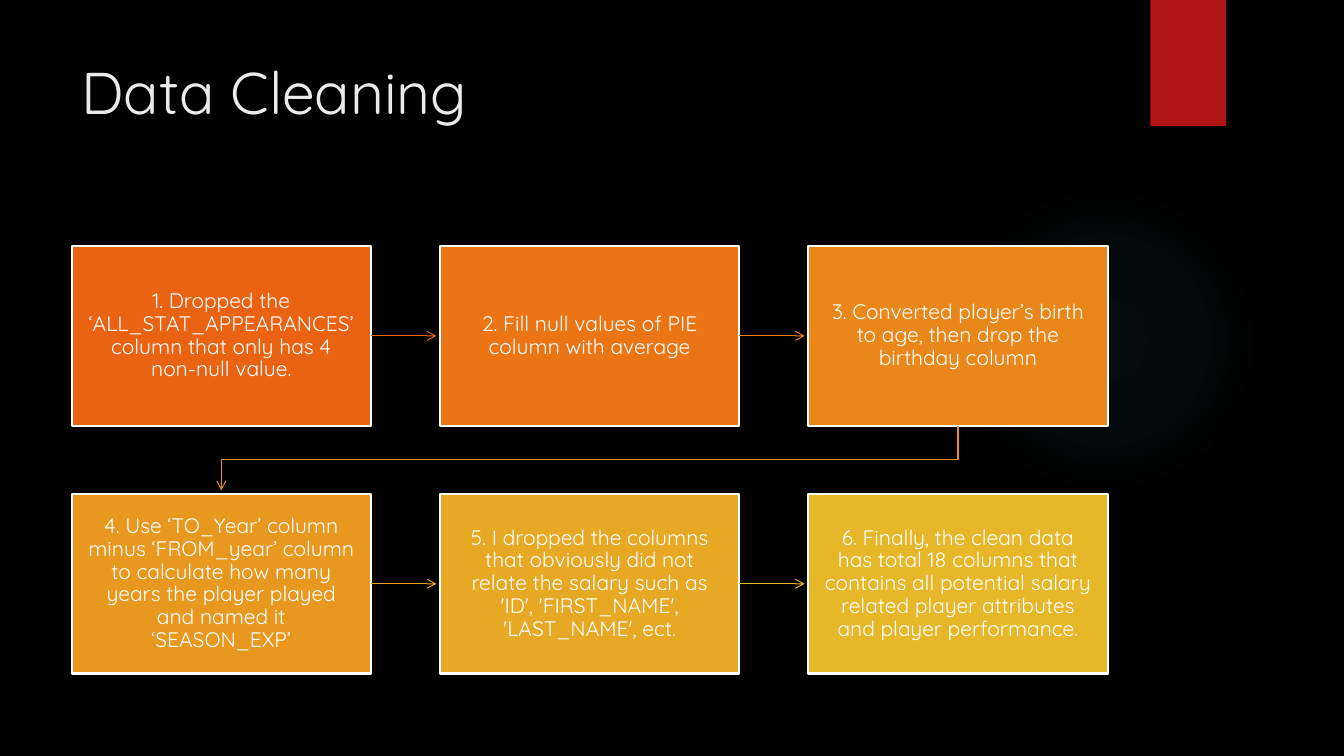
from pptx import Presentation
from pptx.dml.color import RGBColor
from pptx.enum.shapes import MSO_CONNECTOR, MSO_SHAPE
from pptx.enum.text import MSO_ANCHOR, PP_ALIGN
from pptx.oxml import parse_xml
from pptx.oxml.ns import nsdecls, qn
from pptx.util import Pt

BLACK = RGBColor(0x00, 0x00, 0x00)
WHITE = RGBColor(0xFF, 0xFF, 0xFF)
TITLE_GRAY = RGBColor(0xEB, 0xEB, 0xEB)
RED = RGBColor(0xB0, 0x15, 0x13)

# Step text, box colour, colour of the arrow to the next step
STEPS = [
    ("1. Dropped the ‘ALL_STAT_APPEARANCES’ column that only has 4 non-null value.",
     RGBColor(0xEA, 0x63, 0x12), RGBColor(0xEA, 0x63, 0x12)),
    ("2. Fill null values of PIE column with average",
     RGBColor(0xEB, 0x75, 0x15), RGBColor(0xEB, 0x7A, 0x16)),
    ("3. Converted player’s birth to age, then drop the birthday column",
     RGBColor(0xEA, 0x87, 0x1A), RGBColor(0xE9, 0x90, 0x1C)),
    ("4. Use ‘TO_Year’ column minus ‘FROM_year’ column to calculate how many years "
     "the player played and named it ‘SEASON_EXP’",
     RGBColor(0xE8, 0x98, 0x1F), RGBColor(0xE8, 0xA4, 0x23)),
    ("5. I dropped the columns that obviously did not relate the salary such as "
     "'ID', 'FIRST_NAME', 'LAST_NAME', ect.",
     RGBColor(0xE7, 0xA8, 0x24), RGBColor(0xE6, 0xB7, 0x29)),
    ("6. Finally, the clean data has total 18 columns that contains all potential "
     "salary related player attributes and player performance.",
     RGBColor(0xE6, 0xB7, 0x29), None),
]
COLUMNS = 3
LEFT, TOP = 51.2, 175.8
BOX_WIDTH, BOX_HEIGHT = 213.8, 128.2
COLUMN_PITCH, ROW_PITCH = 263.1, 177.1
ARROW_GAP = 2.6


def write_text(shape, text, frame_format, paragraph_format, font_format, color):
    frame = shape.text_frame
    paragraph = frame.paragraphs[0]
    paragraph.text = text
    for target, values in ((frame, frame_format), (paragraph, paragraph_format),
                           (paragraph.runs[0].font, font_format)):
        for name, value in values.items():
            setattr(target, name, value)
    paragraph.runs[0].font.color.rgb = color


def style_arrow(arrow, color):
    arrow.line.color.rgb = color
    arrow.line.width = Pt(0.75)
    properties = arrow.element.spPr
    properties.find(qn("a:ln")).append(
        parse_xml(f'<a:tailEnd {nsdecls("a")} type="arrow"/>'))
    if properties.find(qn("a:effectLst")) is None:
        properties.append(parse_xml(f'<a:effectLst {nsdecls("a")}/>'))


presentation = Presentation()
presentation.slide_width, presentation.slide_height = Pt(960), Pt(540)
slide = presentation.slides.add_slide(presentation.slide_layouts[6])
slide.background.fill.solid()
slide.background.fill.fore_color.rgb = BLACK

# Faint teal glow
glow = slide.shapes.add_shape(MSO_SHAPE.OVAL, Pt(677.5), Pt(131.8), Pt(221.8), Pt(221.8))
glow.shadow.inherit = False
glow.line.fill.background()
glow.fill.background()
stops = "".join(
    f'<a:gs pos="{position}000"><a:srgbClr val="50B9C1"><a:alpha val="{alpha}000"/></a:srgbClr></a:gs>'
    for position, alpha in ((0, 7), (36, 6), (69, 0)))
glow_properties = glow.element.spPr
glow_properties.replace(glow_properties.find(qn("a:noFill")), parse_xml(
    f'<a:gradFill {nsdecls("a")}><a:gsLst>{stops}</a:gsLst><a:path path="circle">'
    '<a:fillToRect l="50000" t="50000" r="50000" b="50000"/></a:path></a:gradFill>'))

# Red tab at the top
tab = slide.shapes.add_shape(MSO_SHAPE.RECTANGLE, Pt(821.8), Pt(0), Pt(54), Pt(90))
tab.shadow.inherit = False
tab.fill.solid()
tab.fill.fore_color.rgb = RED
tab.line.fill.background()

# Title
title = slide.shapes.add_textbox(Pt(51.2), Pt(36), Pt(740.9), Pt(110.2))
write_text(title, "Data Cleaning",
           {"word_wrap": True, "vertical_anchor": MSO_ANCHOR.TOP},
           {"alignment": PP_ALIGN.LEFT},
           {"size": Pt(42), "name": "Quicksand"}, TITLE_GRAY)

# Steps and the arrows between them
margins = {f"margin_{side}": Pt(10.8) for side in ("left", "top", "right", "bottom")}
for index, (text, box_color, arrow_color) in enumerate(STEPS):
    row, column = divmod(index, COLUMNS)
    left = LEFT + column * COLUMN_PITCH
    top = TOP + row * ROW_PITCH

    box = slide.shapes.add_shape(
        MSO_SHAPE.RECTANGLE, Pt(left), Pt(top), Pt(BOX_WIDTH), Pt(BOX_HEIGHT))
    box.shadow.inherit = False
    box.fill.solid()
    box.fill.fore_color.rgb = box_color
    box.line.color.rgb = WHITE
    box.line.width = Pt(1.5)
    write_text(box, text,
               {"word_wrap": True, "vertical_anchor": MSO_ANCHOR.MIDDLE, **margins},
               {"alignment": PP_ALIGN.CENTER, "line_spacing": 0.9},
               {"size": Pt(15), "name": "Quicksand"}, WHITE)

    if arrow_color is None:
        continue
    if column < COLUMNS - 1:
        middle = Pt(top + BOX_HEIGHT / 2)
        arrow = slide.shapes.add_connector(
            MSO_CONNECTOR.STRAIGHT, Pt(left + BOX_WIDTH), middle,
            Pt(left + COLUMN_PITCH - ARROW_GAP), middle)
    else:
        start_x, end_x = Pt(left + BOX_WIDTH / 2), Pt(LEFT + BOX_WIDTH / 2)
        bend_y = Pt(top + (BOX_HEIGHT + ROW_PITCH) / 2)
        builder = slide.shapes.build_freeform(start_x, Pt(top + BOX_HEIGHT))
        builder.add_line_segments(
            [(start_x, bend_y), (end_x, bend_y), (end_x, Pt(top + ROW_PITCH - ARROW_GAP))],
            close=False)
        arrow = builder.convert_to_shape()
        arrow.shadow.inherit = False
        arrow.fill.background()
    style_arrow(arrow, arrow_color)

presentation.save("out.pptx")
